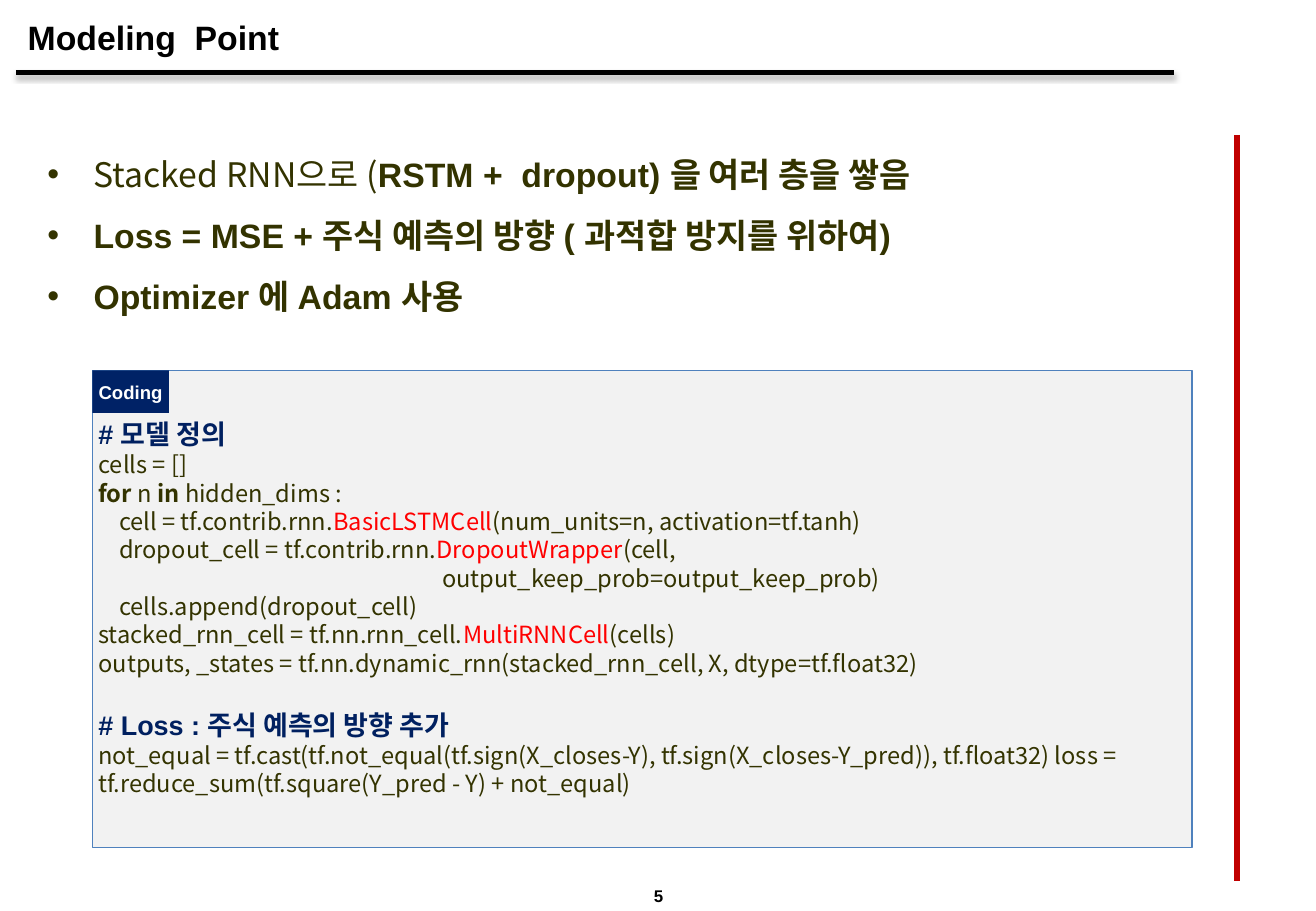
from lxml.etree import SubElement
from pptx import Presentation
from pptx.dml.color import RGBColor
from pptx.enum.shapes import MSO_CONNECTOR, MSO_SHAPE
from pptx.enum.text import MSO_ANCHOR, PP_ALIGN
from pptx.oxml.ns import qn
from pptx.util import Inches, Pt

BLACK = RGBColor(0x00, 0x00, 0x00)
WHITE = RGBColor(0xFF, 0xFF, 0xFF)
OLIVE = RGBColor(0x33, 0x33, 0x00)
NAVY = RGBColor(0x00, 0x20, 0x60)
TAB_NAVY = RGBColor(0x00, 0x22, 0x66)
RED = RGBColor(0xFF, 0x00, 0x00)
DARK_RED = RGBColor(0xC0, 0x00, 0x00)
PANEL_GREY = RGBColor(0xF2, 0xF2, 0xF2)
PANEL_BLUE = RGBColor(0x4F, 0x81, 0xBD)

HEADING_FONT = "Arial"
BODY_FONT = "Noto Sans CJK KR"

# Each style: font, size, colour, bold
TITLE = (HEADING_FONT, 20, BLACK, True)
NUMBER = (HEADING_FONT, 10, BLACK, True)
POINT = (BODY_FONT, 20, OLIVE, False)
STRONG_POINT = (HEADING_FONT, 20, OLIVE, True)
TAB = (HEADING_FONT, 11, WHITE, True)
COMMENT = (HEADING_FONT, 16, NAVY, True)
CODE = (BODY_FONT, 14, OLIVE, False)
KEYWORD = (BODY_FONT, 14, OLIVE, True)
CLASS = (BODY_FONT, 14, RED, False)

POINTS = [
    [("Stacked RNN으로 (", POINT), ("RSTM +  dropout) 을 여러 층을 쌓음", STRONG_POINT)],
    [("Loss = MSE + 주식 예측의 방향 ( 과적합 방지를 위하여)", STRONG_POINT)],
    [("Optimizer 에 Adam 사용", STRONG_POINT)],
]

BLOCK_INDENT = 0.17
ARGUMENT_INDENT = 2.83
# Each line: left indent in inches, space before in points, runs
CODE_LINES = [
    (0, 0, [("# 모델 정의", COMMENT)]),
    (0, 0, [("cells = []", CODE)]),
    (0, 0, [("for ", KEYWORD), ("n ", CODE), ("in ", KEYWORD), ("hidden_dims :", CODE)]),
    (BLOCK_INDENT, 0, [("cell = tf.contrib.rnn.", CODE), ("BasicLSTMCell", CLASS),
                       ("(num_units=n, activation=tf.tanh)", CODE)]),
    (BLOCK_INDENT, 0, [("dropout_cell = tf.contrib.rnn.", CODE),
                       ("DropoutWrapper", CLASS), ("(cell,", CODE)]),
    (ARGUMENT_INDENT, 0, [("output_keep_prob=output_keep_prob)", CODE)]),
    (BLOCK_INDENT, 0, [("cells.append(dropout_cell)", CODE)]),
    (0, 0, [("stacked_rnn_cell = tf.nn.rnn_cell.", CODE),
            ("MultiRNNCell", CLASS), ("(cells)", CODE)]),
    (0, 0, [("outputs, _states = tf.nn.dynamic_rnn(stacked_rnn_cell, X, dtype=tf.float32)", CODE)]),
    (0, 18.4, [("# Loss : 주식 예측의 방향 추가", COMMENT)]),
    (0, 0, [("not_equal = tf.cast(tf.not_equal(tf.sign(X_closes-Y), "
             "tf.sign(X_closes-Y_pred)), tf.float32) loss = "
             "tf.reduce_sum(tf.square(Y_pred - Y) + not_equal)", CODE)]),
]


def add_runs(paragraph, runs):
    for text, (font_name, size, color, bold) in runs:
        run = paragraph.add_run()
        run.text = text
        run.font.name = font_name
        run.font.size = Pt(size)
        run.font.bold = bold
        run.font.color.rgb = color
        SubElement(run.font._element, qn("a:ea"), typeface=BODY_FONT)


def set_frame(frame, horizontal, vertical, anchor=MSO_ANCHOR.TOP):
    frame.word_wrap = True
    frame.margin_left = frame.margin_right = Inches(horizontal)
    frame.margin_top = frame.margin_bottom = Inches(vertical)
    frame.vertical_anchor = anchor


def add_paragraphs(frame, count):
    return [frame.paragraphs[0]] + [frame.add_paragraph() for _ in range(count - 1)]


def indent(paragraph, left, first_line=0):
    properties = paragraph._p.get_or_add_pPr()
    properties.set("marL", str(Inches(left)))
    properties.set("indent", str(Inches(first_line)))
    return properties


def add_rule(slide, start, end, color):
    """Draw a 3 pt line and return its empty effect list."""
    line = slide.shapes.add_connector(MSO_CONNECTOR.STRAIGHT, *map(Inches, start + end))
    line.line.color.rgb = color
    line.line.width = Pt(3)
    return SubElement(line._element.spPr, qn("a:effectLst"))


def add_label(slide, box, style, horizontal, vertical, alignment=PP_ALIGN.LEFT):
    """Place one line of text, centred vertically in its box."""
    frame = slide.shapes.add_textbox(*map(Inches, box)).text_frame
    set_frame(frame, horizontal, vertical, MSO_ANCHOR.MIDDLE)
    frame.paragraphs[0].alignment = alignment
    return frame.paragraphs[0], style


def add_title(slide, left, top, width, height):
    rule_top = top + height + 0.04 - 0.05 + 0.05
    effects = add_rule(slide, (left, rule_top), (left + width, rule_top), BLACK)
    shadow = SubElement(effects, qn("a:outerShdw"), blurRad=str(Pt(3.1)),
                        dist=str(Pt(1.8)), dir="5400000", rotWithShape="0")
    shadow_color = SubElement(shadow, qn("a:srgbClr"), val=str(BLACK))
    SubElement(shadow_color, qn("a:alpha"), val="35000")
    paragraph, style = add_label(slide, (left, top, width, height), TITLE, 0.1, 0.05)
    add_runs(paragraph, [("Modeling  Point", style)])


def add_points(slide, left, top, width, height):
    frame = slide.shapes.add_textbox(*map(Inches, (left, top, width, height))).text_frame
    set_frame(frame, 0, 0)
    for paragraph, runs in zip(add_paragraphs(frame, len(POINTS)), POINTS):
        paragraph.line_spacing = 1.5
        properties = indent(paragraph, 0.38, -0.38)
        SubElement(properties, qn("a:buFont"), typeface=HEADING_FONT)
        SubElement(properties, qn("a:buChar"), char="•")
        add_runs(paragraph, runs)


def add_rectangle(slide, box, color):
    shape = slide.shapes.add_shape(MSO_SHAPE.RECTANGLE, *map(Inches, box))
    shape.shadow.inherit = False
    shape.fill.solid()
    shape.fill.fore_color.rgb = color
    shape.line.fill.background()
    return shape


def add_code_panel(slide, left, top, width, height):
    panel = add_rectangle(slide, (left, top, width, height), PANEL_GREY)
    panel.line.color.rgb = PANEL_BLUE
    panel.line.width = Pt(0.75)
    frame = panel.text_frame
    set_frame(frame, 0.05, 0.1)
    frame.margin_top = Inches(0.39)
    for paragraph, (left_indent, space, runs) in zip(
            add_paragraphs(frame, len(CODE_LINES)), CODE_LINES):
        paragraph.alignment = PP_ALIGN.LEFT
        paragraph.space_before = Pt(space)
        indent(paragraph, left_indent)
        add_runs(paragraph, runs)

    tab = add_rectangle(slide, (left, top, 0.63, 0.35), TAB_NAVY)
    set_frame(tab.text_frame, 0, 0, MSO_ANCHOR.MIDDLE)
    tab.text_frame.paragraphs[0].alignment = PP_ALIGN.CENTER
    add_runs(tab.text_frame.paragraphs[0], [("Coding", TAB)])


def add_page_number(slide, left, top, width, height):
    paragraph, style = add_label(slide, (left, top, width, height), NUMBER,
                                 0.06, 0.06, PP_ALIGN.CENTER)
    add_runs(paragraph, [("5", style)])


def main():
    presentation = Presentation()
    presentation.slide_width = Inches(10.83)
    presentation.slide_height = Inches(7.5)
    slide = presentation.slides.add_slide(presentation.slide_layouts[6])
    add_page_number(slide, 4.99, 7.27, 0.86, 0.21)
    add_title(slide, 0.13, 0.05, 9.53, 0.51)
    add_rule(slide, (10.18, 1.11), (10.18, 7.25), DARK_RED)
    add_points(slide, 0.39, 1.1, 8.76, 1.51)
    add_code_panel(slide, 0.76, 3.05, 9.05, 3.93)
    presentation.save("out.pptx")


if __name__ == "__main__":
    main()
